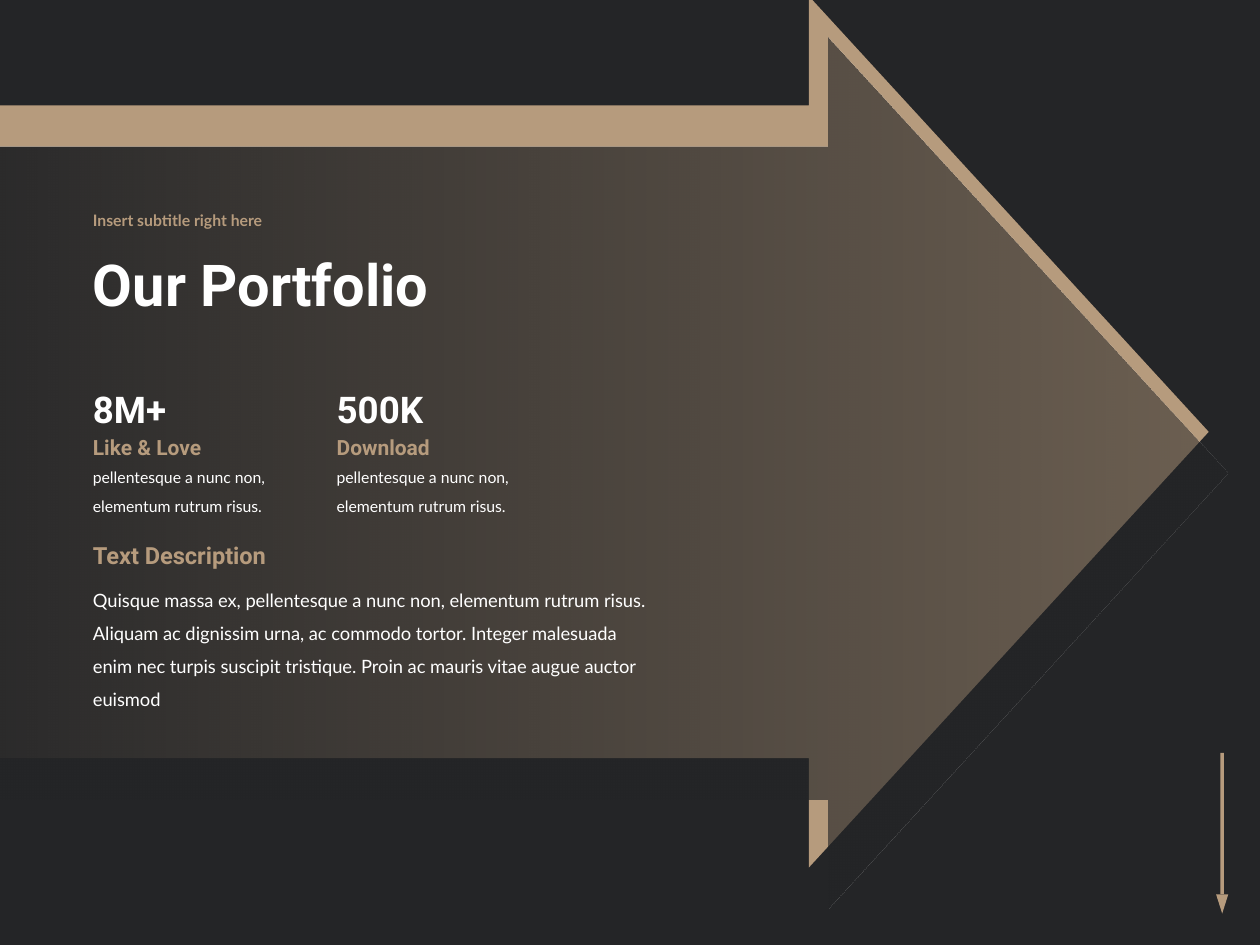
import dataclasses
import typing

import lxml.etree
import pptx
import pptx.dml.color
import pptx.enum.shapes
import pptx.enum.text
import pptx.oxml.ns
import pptx.util

Pt = pptx.util.Pt
Rgb = pptx.dml.color.RGBColor
Kind = pptx.enum.shapes.MSO_SHAPE
Anchor = pptx.enum.text.MSO_ANCHOR
Fit = pptx.enum.text.MSO_AUTO_SIZE


# Theme: colours, fonts and type formats
@dataclasses.dataclass(frozen=True)
class Theme:
    dark: Rgb = Rgb.from_string("242527")
    gold: Rgb = Rgb.from_string("B69B7D")
    white: Rgb = Rgb.from_string("FFFFFF")
    head: str = "Roboto"
    body: str = "Lato"

    def style(self, role: str) -> dict[str, typing.Any]:
        size, name, bold = {
            "title": (33, self.head, True),
            "subtitle": (9, self.body, True),
            "figure": (21, self.head, True),
            "label": (12, self.head, True),
            "note": (9, self.body, False),
            "heading": (13.5, self.head, True),
            "body": (10.5, self.body, False),
        }[role]
        return {"size": Pt(size), "name": name, "bold": bold}


THEME = Theme()


@dataclasses.dataclass(frozen=True)
class Label:
    text: str
    role: str
    color: Rgb
    left: float
    top: float
    width: float
    height: float
    space: float = 1.0
    anchor: Anchor = Anchor.TOP


@dataclasses.dataclass(frozen=True)
class Stat:
    figure: str
    label: str
    note: str


def write(slide, item: Label) -> None:
    box = slide.shapes.add_textbox(
        Pt(item.left), Pt(item.top), Pt(item.width), Pt(item.height))
    frame = box.text_frame
    fit = Fit.SHAPE_TO_FIT_TEXT if item.anchor == Anchor.TOP else Fit.NONE
    layout = {"word_wrap": True, "auto_size": fit,
              "vertical_anchor": item.anchor}
    for key, value in layout.items():
        setattr(frame, key, value)
    para = frame.paragraphs[0]
    para.line_spacing = item.space
    run = para.add_run()
    run.text = item.text
    for key, value in THEME.style(item.role).items():
        setattr(run.font, key, value)
    run.font.color.rgb = item.color


def clean(shape) -> None:
    shape.shadow.inherit = False
    shape.line.fill.background()


def paint(shape, color: Rgb) -> None:
    clean(shape)
    shape.fill.solid()
    shape.fill.fore_color.rgb = color


def arrow(slide, left: float, top: float):
    """Draw a wide block arrow that points right."""
    neck, tip, high = 473, 701.5, 498
    upper, lower = 62.5, 435.5
    points = [(neck, 0), (tip, high / 2), (neck, high), (neck, lower),
              (0, lower), (0, upper), (neck, upper)]
    spots = [(Pt(left + x), Pt(top + y)) for x, y in points]
    pen = slide.shapes.build_freeform(*spots[0])
    pen.add_line_segments(spots[1:], close=True)
    return pen.convert_to_shape()


def fade(shape, color: Rgb, alphas: tuple[int, int]) -> None:
    """Fill from left to right with one colour at two opacities."""
    clean(shape)
    shape.fill.gradient()
    shape.fill.gradient_angle = 0
    for stop, alpha in zip(shape.fill.gradient_stops, alphas):
        stop.color.rgb = color
    tag = pptx.oxml.ns.qn
    tones = shape.fill._xPr.iter(tag("a:srgbClr"))
    for tone, alpha in zip(list(tones), alphas):
        lxml.etree.SubElement(tone, tag("a:alpha"), val=str(alpha * 1000))


def marker(slide) -> None:
    """Draw the small arrow that points down."""
    mid, top, neck = 698.4, 430.2, 511
    stem = slide.shapes.add_shape(
        Kind.RECTANGLE, Pt(mid - 1), Pt(top), Pt(2), Pt(neck - top))
    point = slide.shapes.add_shape(
        Kind.ISOSCELES_TRIANGLE, Pt(mid - 3.5), Pt(neck), Pt(7), Pt(11))
    point.rotation = 180
    for part in (stem, point):
        paint(part, THEME.gold)


def main() -> None:
    deck = pptx.Presentation()
    deck.slide_width, deck.slide_height = Pt(720), Pt(540)
    slide = deck.slides.add_slide(deck.slide_layouts[6])
    slide.background.fill.solid()
    slide.background.fill.fore_color.rgb = THEME.dark

    # Backdrop
    marker(slide)
    paint(arrow(slide, -10.8, -2.2), THEME.gold)
    fade(arrow(slide, 0, 21.2), THEME.dark, (95, 50))

    # Title and text description
    edge = 46
    gold, white = THEME.gold, THEME.white
    story = ("Quisque massa ex, pellentesque a nunc non, elementum rutrum "
             "risus. Aliquam ac dignissim urna, ac commodo tortor. Integer "
             "malesuada enim nec turpis suscipit tristique. Proin ac mauris "
             "vitae augue auctor euismod")
    items = [
        Label("Insert subtitle right here", "subtitle", gold,
              edge, 113, 405, 27, 0.9, Anchor.MIDDLE),
        Label("Our Portfolio", "title", white,
              edge, 127.4, 405, 74, 0.9, Anchor.MIDDLE),
        Label("Text Description", "heading", gold, edge, 305.3, 158, 24),
        Label(story, "body", white, edge, 327, 334, 63, 1.5),
    ]

    # Key figures
    note = "pellentesque a nunc non, elementum rutrum risus."
    stats = [Stat("8M+", "Like & Love", note), Stat("500K", "Download", note)]
    step = 139.3
    for i, stat in enumerate(stats):
        left = edge + i * step
        items += [
            Label(stat.figure, "figure", white, left, 217.4, 108, 32),
            Label(stat.label, "label", gold, left, 244.8, 108, 22),
            Label(stat.note, "note", white, left, 258.5, 136, 38, 1.5),
        ]

    for item in items:
        write(slide, item)
    deck.save("out.pptx")


if __name__ == "__main__":
    main()
